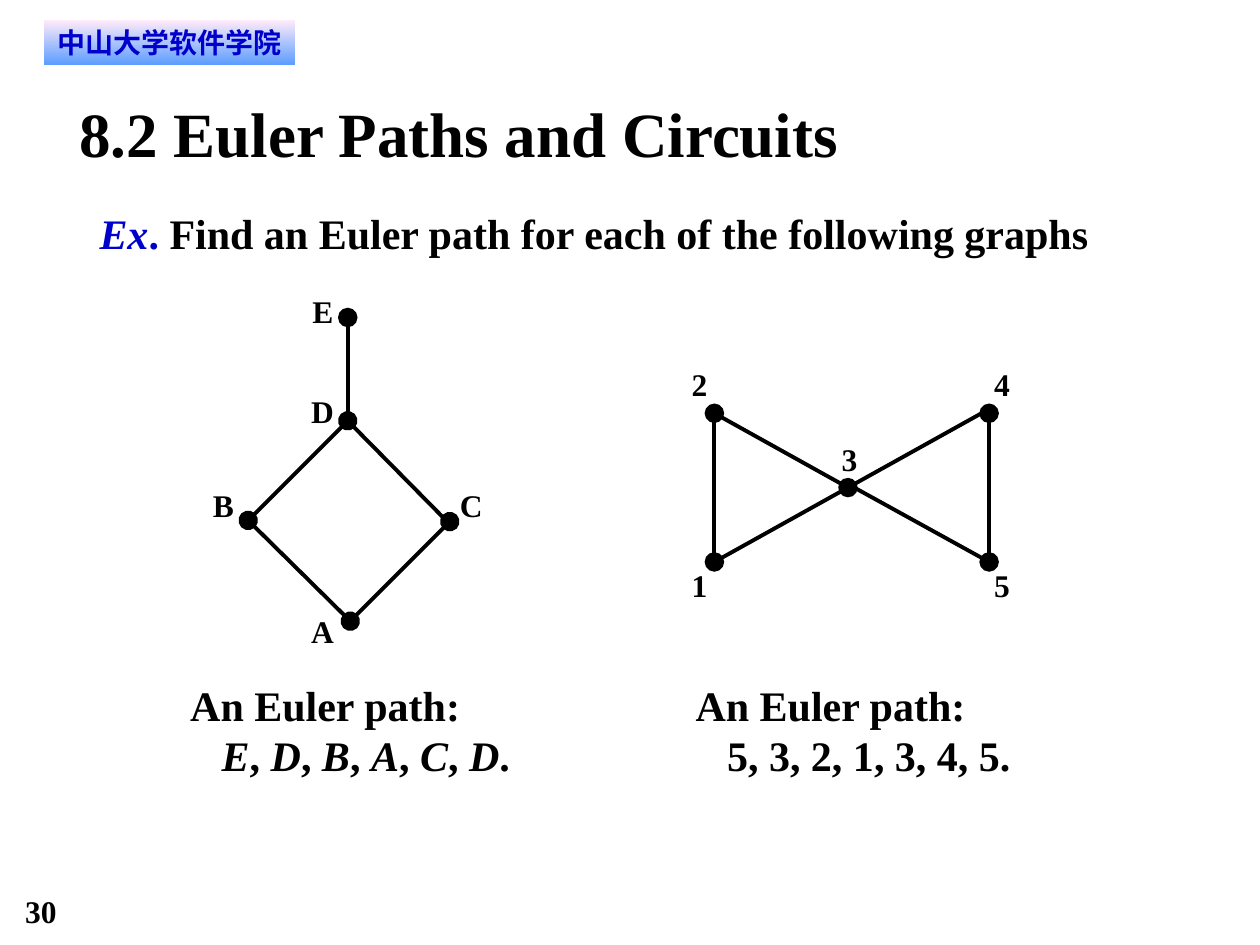
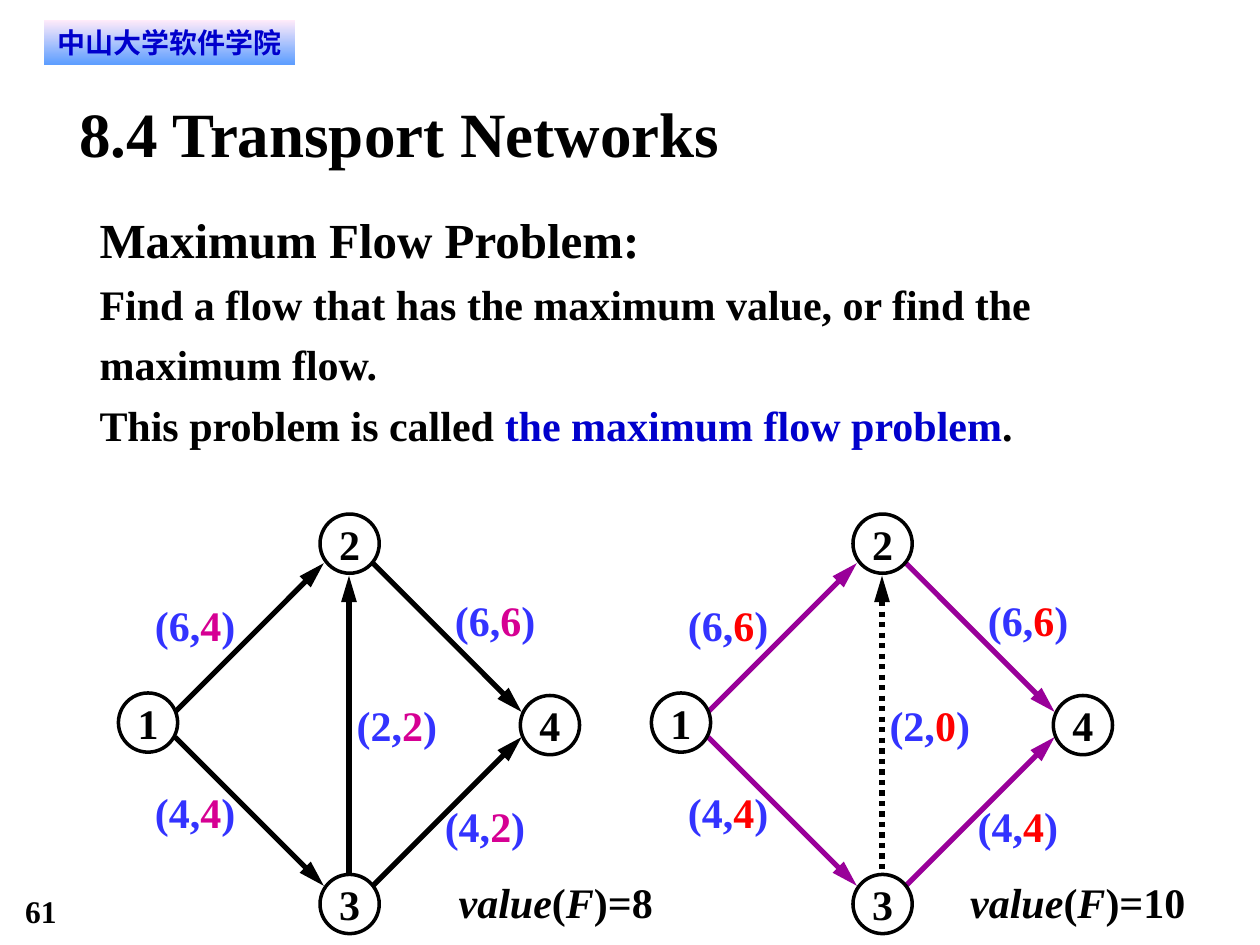
from dataclasses import dataclass
from typing import NamedTuple

from lxml import etree
from pptx import Presentation
from pptx.dml.color import RGBColor
from pptx.enum.dml import MSO_LINE
from pptx.enum.shapes import MSO_CONNECTOR, MSO_SHAPE
from pptx.enum.text import MSO_ANCHOR, MSO_AUTO_SIZE, PP_ALIGN
from pptx.oxml.ns import qn
from pptx.util import Inches, Pt

STRAIGHT = MSO_CONNECTOR.STRAIGHT
RECTANGLE, OVAL = MSO_SHAPE.RECTANGLE, MSO_SHAPE.OVAL
LEFT, CENTER = PP_ALIGN.LEFT, PP_ALIGN.CENTER
TOP, MIDDLE = MSO_ANCHOR.TOP, MSO_ANCHOR.MIDDLE
FIT, FIXED = MSO_AUTO_SIZE.SHAPE_TO_FIT_TEXT, MSO_AUTO_SIZE.NONE
DOTTED = MSO_LINE.ROUND_DOT


@dataclass(frozen=True)
class Theme:
    serif: str = "Times New Roman"
    sans: str = "DejaVu Sans"
    ink: str = "000000"
    accent: str = "0000CC"
    capacity: str = "3333FF"
    first_flow: str = "D60093"
    best_flow: str = "FF0000"
    best_edge: str = "990099"
    badge_top: str = "FFEBFA"
    badge_bottom: str = "5E9EFF"
    title_size: int = 36
    heading_size: int = 28
    body_size: int = 24
    label_size: int = 18
    badge_size: int = 16
    graph_line: float = 2.25
    network_line: float = 3
    node_line: float = 2


THEME = Theme()


class Point(NamedTuple):
    x: float
    y: float


class Box(NamedTuple):
    left: float
    top: float
    width: float
    height: float


class Run(NamedTuple):
    text: str
    color: str | None = None
    italic: bool = False
    size: int | None = None


class Paragraph(NamedTuple):
    runs: list[Run]
    indent: float = 0


class Label(NamedTuple):
    text: str
    box: Box


class Edge(NamedTuple):
    start: Point
    end: Point
    start_dot: bool = False
    end_dot: bool = False


class Arc(NamedTuple):
    tip: Point
    tail: Point
    label_at: Point
    capacity: int


@dataclass(frozen=True)
class Network:
    shift: float
    flows: tuple[int, ...]
    flow_color: str
    edge_color: str
    value: int
    value_box: Box


TITLE_BOX = Box(0.63, 0.75, 8.75, 0.6)
BADGE_BOX = Box(0.35, 0.16, 1.99, 0.35)
PAGE_BOX = Box(0.2, 7.08, 0.75, 0.3)

GRAPH_EDGES = [
    Edge(Point(2.76, 3.34), Point(1.97, 4.13), True, True),
    Edge(Point(2.76, 2.52), Point(2.76, 3.31), True),
    Edge(Point(2.76, 4.91), Point(1.97, 4.13)),
    Edge(Point(3.57, 4.14), Point(2.78, 4.93), True, True),
    Edge(Point(3.54, 4.13), Point(2.76, 3.34)),
    Edge(Point(5.67, 3.28), Point(5.67, 4.46), True, True),
    Edge(Point(6.73, 3.87), Point(5.67, 4.46), True),
    Edge(Point(6.73, 3.87), Point(5.67, 3.28)),
    Edge(Point(7.85, 3.28), Point(7.85, 4.46), True, True),
    Edge(Point(7.79, 3.28), Point(6.73, 3.87)),
    Edge(Point(7.85, 4.46), Point(6.78, 3.87)),
]
VERTEX_LABELS = [
    Label("E", Box(2.48, 2.32, 0.17, 0.3)),
    Label("B", Box(1.69, 3.86, 0.17, 0.3)),
    Label("D", Box(2.47, 3.11, 0.18, 0.3)),
    Label("A", Box(2.47, 4.86, 0.18, 0.3)),
    Label("C", Box(3.65, 3.86, 0.18, 0.3)),
    Label("1", Box(5.49, 4.49, 0.13, 0.3)),
    Label("2", Box(5.49, 2.9, 0.13, 0.3)),
    Label("3", Box(6.68, 3.49, 0.13, 0.3)),
    Label("4", Box(7.89, 2.9, 0.13, 0.3)),
    Label("5", Box(7.89, 4.49, 0.13, 0.3)),
]

NODE_SIZE = 0.47
NODES = [Point(0.94, 5.5), Point(2.54, 4.08), Point(2.54, 6.94), Point(4.13, 5.52)]
ARCS = [
    Arc(Point(2.77, 4.57), Point(2.77, 6.93), Point(2.83, 5.55), 2),
    Arc(Point(4.14, 5.85), Point(2.96, 7.03), Point(3.53, 6.35), 4),
    Arc(Point(4.14, 5.65), Point(2.96, 4.47), Point(3.61, 4.72), 6),
    Arc(Point(2.57, 4.47), Point(1.39, 5.65), Point(1.23, 4.76), 6),
    Arc(Point(2.57, 7.03), Point(1.39, 5.85), Point(1.23, 6.24), 4),
]
NETWORKS = [
    Network(0, (2, 2, 6, 4, 4), THEME.first_flow, THEME.ink, 8,
            Box(3.64, 6.96, 1.58, 0.4)),
    Network(4.23, (0, 4, 6, 6, 4), THEME.best_flow, THEME.best_edge, 10,
            Box(7.7, 6.96, 1.75, 0.4)),
]


def rgb(color: str) -> RGBColor:
    return RGBColor.from_string(color)


def inches(box: Box | Point) -> list[int]:
    return [Inches(length) for length in box]


def write_text(frame, content, *, size=THEME.body_size, color=THEME.ink,
               font=THEME.serif, align=LEFT, anchor=TOP, wrap=False,
               fit=FIT, spacing=None, margins=(0, 0)) -> None:
    paragraphs = [Paragraph([Run(content)])] if isinstance(content, str) else content
    frame.word_wrap = wrap
    frame.auto_size = fit
    frame.vertical_anchor = anchor
    frame.margin_left = frame.margin_right = Inches(margins[0])
    frame.margin_top = frame.margin_bottom = Inches(margins[1])
    for index, paragraph in enumerate(paragraphs):
        line = frame.add_paragraph() if index else frame.paragraphs[0]
        line.alignment = align
        if spacing:
            line.line_spacing = spacing
        if paragraph.indent:
            line._p.get_or_add_pPr().set("marL", str(Inches(paragraph.indent)))
        for part in paragraph.runs:
            run = line.add_run()
            run.text = part.text
            run.font.size = Pt(part.size or size)
            run.font.bold = True
            run.font.italic = part.italic
            run.font.color.rgb = rgb(part.color or color)
            run.font.name = font
            east_asian = etree.SubElement(run._r.get_or_add_rPr(), qn("a:ea"))
            east_asian.set("typeface", font)


def add_text(slide, box: Box, content, **text_format) -> None:
    frame = slide.shapes.add_textbox(*inches(box)).text_frame
    write_text(frame, content, **text_format)


def add_line(slide, start: Point, end: Point, *, width: float, color: str = THEME.ink,
             start_mark: str = "", end_mark: str = "", mark_width: str = "lg",
             dash=None) -> None:
    line = slide.shapes.add_connector(STRAIGHT, *inches(start), *inches(end))
    line.line.width = Pt(width)
    line.line.color.rgb = rgb(color)
    if dash:
        line.line.dash_style = dash
    outline = line.line._get_or_add_ln()
    for tag, mark in (("a:headEnd", start_mark), ("a:tailEnd", end_mark)):
        if mark:
            etree.SubElement(outline, qn(tag), type=mark, w=mark_width, len="lg")
    etree.SubElement(line._element.spPr, qn("a:effectLst"))


def start_slide(deck, title: str, page: int):
    slide = deck.slides.add_slide(deck.slide_layouts[6])
    add_text(slide, PAGE_BOX, str(page), size=THEME.label_size, wrap=True)
    badge = slide.shapes.add_shape(RECTANGLE, *inches(BADGE_BOX))
    badge.shadow.inherit = False
    badge.line.fill.background()
    badge.fill.gradient()
    badge.fill.gradient_angle = 270
    colors = (THEME.badge_top, THEME.badge_bottom)
    for position, (stop, color) in enumerate(zip(badge.fill.gradient_stops, colors)):
        stop.position = position
        stop.color.rgb = rgb(color)
    write_text(badge.text_frame, "中山大学软件学院", size=THEME.badge_size,
               color=THEME.accent, font=THEME.sans, align=CENTER, wrap=True,
               margins=(0.08, 0.04))
    add_text(slide, TITLE_BOX, title, size=THEME.title_size, wrap=True)
    return slide


def add_euler_answer(slide, box: Box, vertices: str, italic: bool) -> None:
    path_runs = []
    for index, vertex in enumerate(vertices):
        separator = ", " if index < len(vertices) - 1 else "."
        path_runs += [Run(vertex, italic=italic), Run(separator)]
    add_text(slide, box, [Paragraph([Run("An Euler path:")]),
                          Paragraph(path_runs, indent=0.25)])


def build_euler_slide(deck) -> None:
    slide = start_slide(deck, "8.2 Euler Paths and Circuits", 30)
    task = [Run("Ex", THEME.accent, True), Run(". ", THEME.accent),
            Run("Find an Euler path for each of the following graphs")]
    add_text(slide, Box(0.79, 1.57, 8.8, 0.48), [Paragraph(task)],
             wrap=True, spacing=1.2)
    for edge in GRAPH_EDGES:
        add_line(slide, edge.start, edge.end, width=THEME.graph_line,
                 start_mark="oval" if edge.start_dot else "",
                 end_mark="oval" if edge.end_dot else "")
    for label in VERTEX_LABELS:
        add_text(slide, label.box, label.text, size=THEME.label_size)
    add_euler_answer(slide, Box(1.51, 5.39, 2.54, 0.8), "EDBACD", True)
    add_euler_answer(slide, Box(5.52, 5.39, 2.5, 0.8), "5321345", False)


def add_network(slide, network: Network) -> None:
    def shifted(point: Point) -> Point:
        return Point(point.x + network.shift, point.y)

    for arc, flow in zip(ARCS, network.flows):
        add_line(slide, shifted(arc.tip), shifted(arc.tail),
                 width=THEME.network_line, start_mark="triangle", mark_width="med",
                 color=network.edge_color if flow else THEME.ink,
                 dash=None if flow else DOTTED)
    for arc, flow in zip(ARCS, network.flows):
        pair = [Run(f"({arc.capacity},"), Run(str(flow), network.flow_color), Run(")")]
        add_text(slide, Box(*shifted(arc.label_at), 0.64, 0.4), [Paragraph(pair)],
                 color=THEME.capacity)
    for number, corner in enumerate(NODES, start=1):
        node = slide.shapes.add_shape(
            OVAL, *inches(Box(*shifted(corner), NODE_SIZE, NODE_SIZE)))
        node.shadow.inherit = False
        node.fill.background()
        node.line.color.rgb = rgb(THEME.ink)
        node.line.width = Pt(THEME.node_line)
        write_text(node.text_frame, str(number), align=CENTER, anchor=MIDDLE, fit=FIXED)
    value = [Run("value", italic=True), Run("("), Run("F", italic=True),
             Run(f")={network.value}")]
    add_text(slide, network.value_box, [Paragraph(value)], wrap=True)


def build_network_slide(deck) -> None:
    slide = start_slide(deck, "8.4 Transport Networks", 61)
    problem = [
        Paragraph([Run("Maximum Flow Problem:", size=THEME.heading_size)]),
        Paragraph([Run("Find a flow that has the maximum value, "
                       "or find the maximum flow.")]),
        Paragraph([Run("This problem is called "),
                   Run("the maximum flow problem", THEME.accent), Run(".")]),
    ]
    add_text(slide, Box(0.79, 1.57, 8.6, 2), problem, wrap=True, spacing=1.2)
    for network in NETWORKS:
        add_network(slide, network)


def main() -> None:
    deck = Presentation()
    deck.slide_width, deck.slide_height = Inches(10), Inches(7.5)
    build_euler_slide(deck)
    build_network_slide(deck)
    deck.save("out.pptx")


if __name__ == "__main__":
    main()
